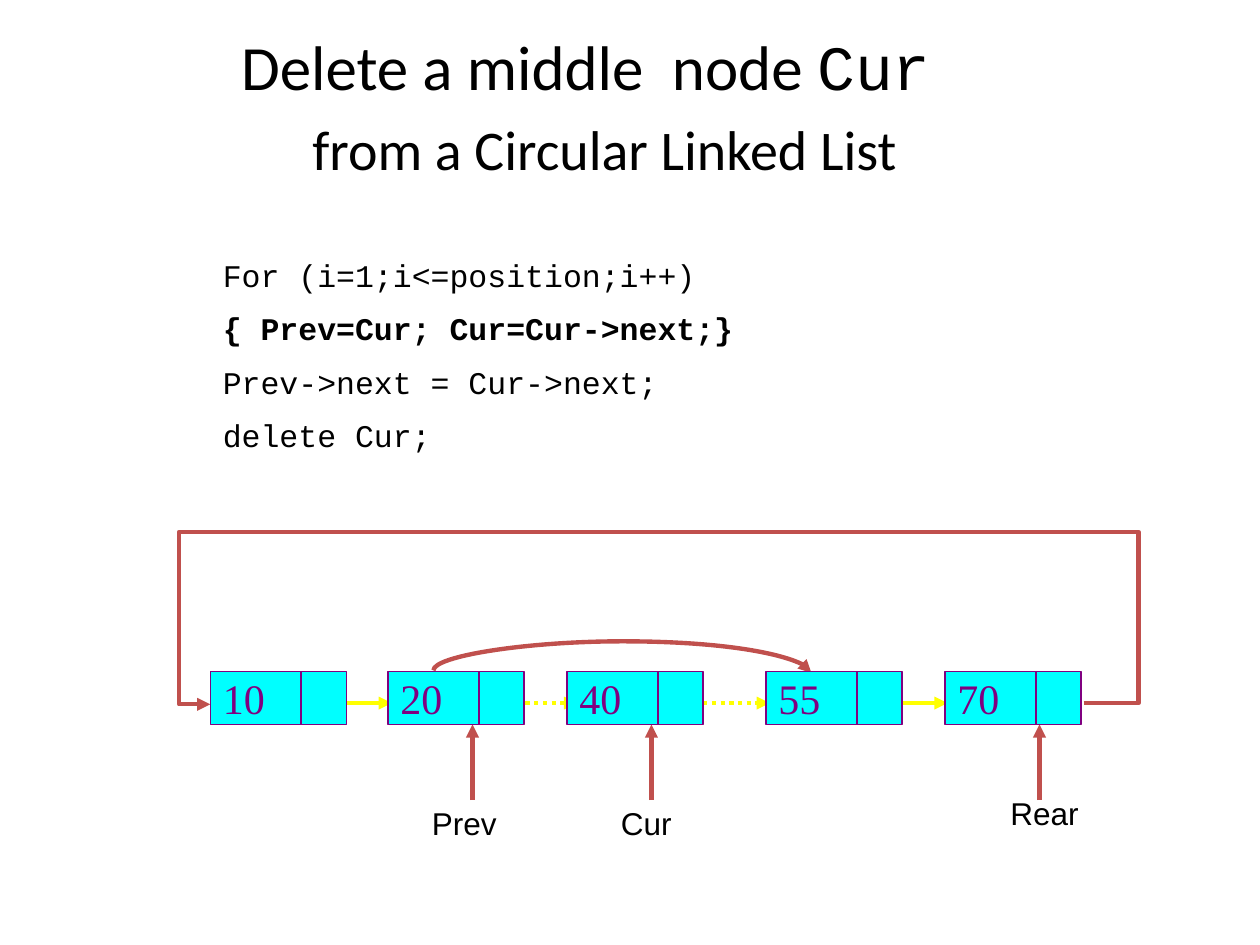
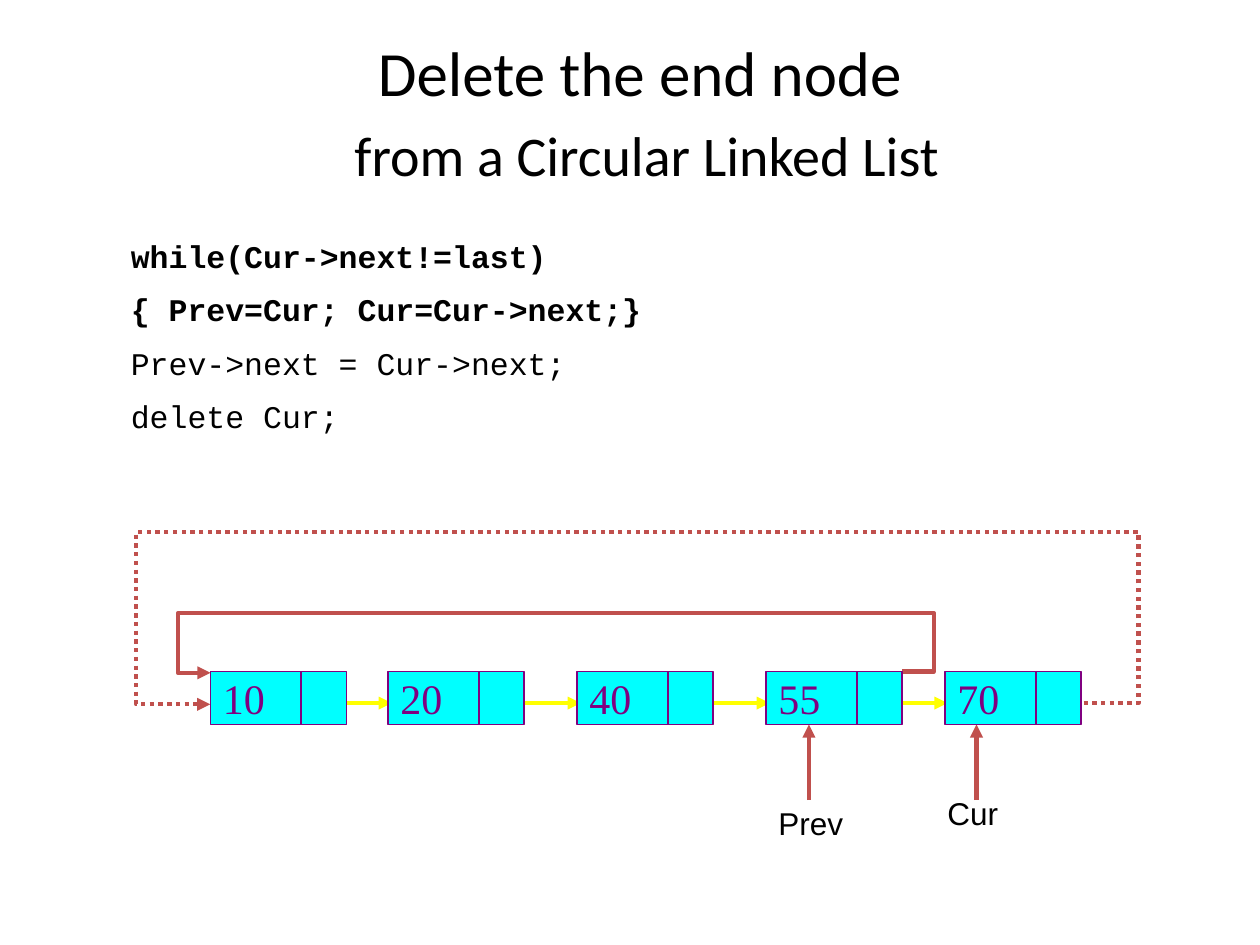
from lxml import etree
from pptx import Presentation
from pptx import util as u
from pptx.dml.color import RGBColor
from pptx.enum import dml, shapes, text
from pptx.oxml.ns import qn

PX = 9144  # 100 px to the inch
BLACK = RGBColor(0x00, 0x00, 0x00)
YELLOW = RGBColor(0xFF, 0xFF, 0x00)
RED = RGBColor(0xC0, 0x50, 0x4D)
CYAN = RGBColor(0x00, 0xFF, 0xFF)
PURPLE = RGBColor(0x80, 0x00, 0x80)

STRAIGHT = shapes.MSO_CONNECTOR.STRAIGHT
ELBOW = shapes.MSO_CONNECTOR.ELBOW
CURVE = shapes.MSO_CONNECTOR.CURVE

NODE_TOP, NODE_HEIGHT = 533, 42
VALUE_WIDTH, NEXT_WIDTH = 72, 36
LINK_Y = 558
POINTER_BOTTOM = 635


def add_text(slide, box, paragraphs, space_percent, alignment=text.PP_ALIGN.LEFT):
    """Add a text box; each paragraph is a list of (words, font, size, bold) runs."""
    frame = slide.shapes.add_textbox(*(length * PX for length in box)).text_frame
    frame.word_wrap = True
    for index, runs in enumerate(paragraphs):
        paragraph = frame.add_paragraph() if index else frame.paragraphs[0]
        paragraph.alignment = alignment
        properties = paragraph._p.get_or_add_pPr()
        spacing = etree.SubElement(properties, qn("a:spcBef"))
        etree.SubElement(spacing, qn("a:spcPct"), val=str(space_percent * 1000))
        for words, font, size, bold in runs:
            run = paragraph.add_run()
            run.text = words
            run.font.name = font
            run.font.size = u.Pt(size)
            run.font.bold = bold
            run.font.color.rgb = BLACK


def add_arrow(slide, kind, ends, color, dotted=False, preset=None, adjustments=()):
    """Add an arrow; adjustments are fractions of the connector's own extent."""
    arrow = slide.shapes.add_connector(kind, *(length * PX for length in ends))
    arrow.line.color.rgb = color
    arrow.line.width = u.Pt(2.5)
    if dotted:
        arrow.line.dash_style = dml.MSO_LINE.ROUND_DOT
    etree.SubElement(arrow.line._get_or_add_ln(), qn("a:tailEnd"), type="triangle")
    properties = arrow._element.spPr
    etree.SubElement(properties, qn("a:effectLst"))
    if preset:
        geometry = properties.find(qn("a:prstGeom"))
        geometry.set("prst", preset)
        guides = geometry.find(qn("a:avLst"))
        for number, value in enumerate(adjustments, 1):
            name = f"adj{number}" if len(adjustments) > 1 else "adj1"
            etree.SubElement(guides, qn("a:gd"), name=name,
                             fmla=f"val {round(value * 100000)}")
    return arrow


SUBTITLE = [("from a Circular Linked List", "Calibri", 32, False)]

# Links: start, end, dotted. Loops: start x, start y, right x, top y, left x, dotted.
# Pointers: name, arrow x, label left, label top.
SLIDES = [
    {
        "title_box": (51, 17, 858, 475),
        "title": [("Delete a middle  node ", "Calibri", 36, False),
                  ("Cur ", "Courier New", 36, False)],
        "code_box": (167, 198, 500, 182),
        "code": [("For (i=1;i<=position;i++)", False),
                 ("{ Prev=Cur; Cur=Cur->next;}", True),
                 ("Prev->next = Cur->next;", False),
                 ("delete Cur;", False)],
        "nodes": {"10": 167, "20": 308, "40": 450, "55": 608, "70": 750},
        "links": [(267, 311, False), (417, 458, True), (558, 611, True),
                  (708, 752, False)],
        "loops": [(860, LINK_Y, 904, 420, 142, False)],
        "pointers": [("Prev", 375, 333, 633), ("Cur", 517, 483, 633),
                     ("Rear", 825, 792, 625)],
        "bypass": ("20", "55"),
    },
    {
        "title_box": (55, 22, 917, 583),
        "title": [("Delete the end node ", "Calibri", 36, False)],
        "code_box": (94, 183, 800, 177),
        "code": [("while(Cur->next!=last)", True),
                 ("{ Prev=Cur; Cur=Cur->next;}", True),
                 ("Prev->next = Cur->next;", False),
                 ("delete Cur;", False)],
        "nodes": {"10": 167, "20": 308, "40": 458, "55": 608, "70": 750},
        "links": [(267, 311, False), (417, 461, False), (567, 611, False),
                  (708, 752, False)],
        "loops": [(860, LINK_Y, 904, 420, 108, True),
                  (716, NODE_TOP, 741, 486, 141, False)],
        "pointers": [("Prev", 642, 608, 633), ("Cur", 775, 742, 625)],
        "bypass": None,
    },
]

presentation = Presentation()
presentation.slide_width = 1000 * PX
presentation.slide_height = 750 * PX

for content in SLIDES:
    slide = presentation.slides.add_slide(presentation.slide_layouts[6])
    nodes = content["nodes"]

    add_text(slide, content["title_box"], [content["title"], SUBTITLE], 20,
             text.PP_ALIGN.CENTER)
    code = [[(words, "Courier New", 18, bold)] for words, bold in content["code"]]
    add_text(slide, content["code_box"], code, 50)

    for start, end, dotted in content["links"]:
        add_arrow(slide, STRAIGHT, (start, LINK_Y, end, LINK_Y), YELLOW, dotted)

    for start, y, right, top, left, dotted in content["loops"]:
        first = nodes["10"]
        width = start - first
        add_arrow(slide, ELBOW, (start, y, first, y + 1), RED, dotted, "bentConnector5",
                  ((start - right) / width, top - y, (start - left) / width))

    for name, x, label_left, label_top in content["pointers"]:
        add_arrow(slide, STRAIGHT, (x, POINTER_BOTTOM, x, NODE_TOP + NODE_HEIGHT), RED)
        add_text(slide, (label_left, label_top, 125, 40),
                 [[(name, "Arial", 18, False)]], 20)

    if content["bypass"]:
        # A thin upright curve, turned a quarter so that it bows over the deleted node.
        start, end = (nodes[value] + VALUE_WIDTH // 2 for value in content["bypass"])
        middle, half = (start + end) // 2, (end - start) // 2
        bypass = add_arrow(slide, CURVE,
                           (middle - 1, NODE_TOP + half, middle + 1, NODE_TOP - half),
                           RED, False, "curvedConnector3", (-11.5,))
        bypass._element.spPr.find(qn("a:xfrm")).set("rot", "5400000")

    for value, left in nodes.items():
        node = slide.shapes.add_group_shape()
        for x, width, words in ((left, VALUE_WIDTH, value),
                                (left + VALUE_WIDTH, NEXT_WIDTH, "")):
            cell = node.shapes.add_shape(shapes.MSO_SHAPE.RECTANGLE, x * PX, NODE_TOP * PX,
                                         width * PX, NODE_HEIGHT * PX)
            cell.shadow.inherit = False
            cell.fill.solid()
            cell.fill.fore_color.rgb = CYAN
            cell.line.color.rgb = PURPLE
            cell.line.width = u.Pt(1)
            if words:
                frame = cell.text_frame
                frame.word_wrap = False
                frame.vertical_anchor = text.MSO_ANCHOR.MIDDLE
                paragraph = frame.paragraphs[0]
                paragraph.alignment = text.PP_ALIGN.LEFT
                run = paragraph.add_run()
                run.text = words
                run.font.name = "Times New Roman"
                run.font.size = u.Pt(24)
                run.font.color.rgb = PURPLE

presentation.save("out.pptx")
